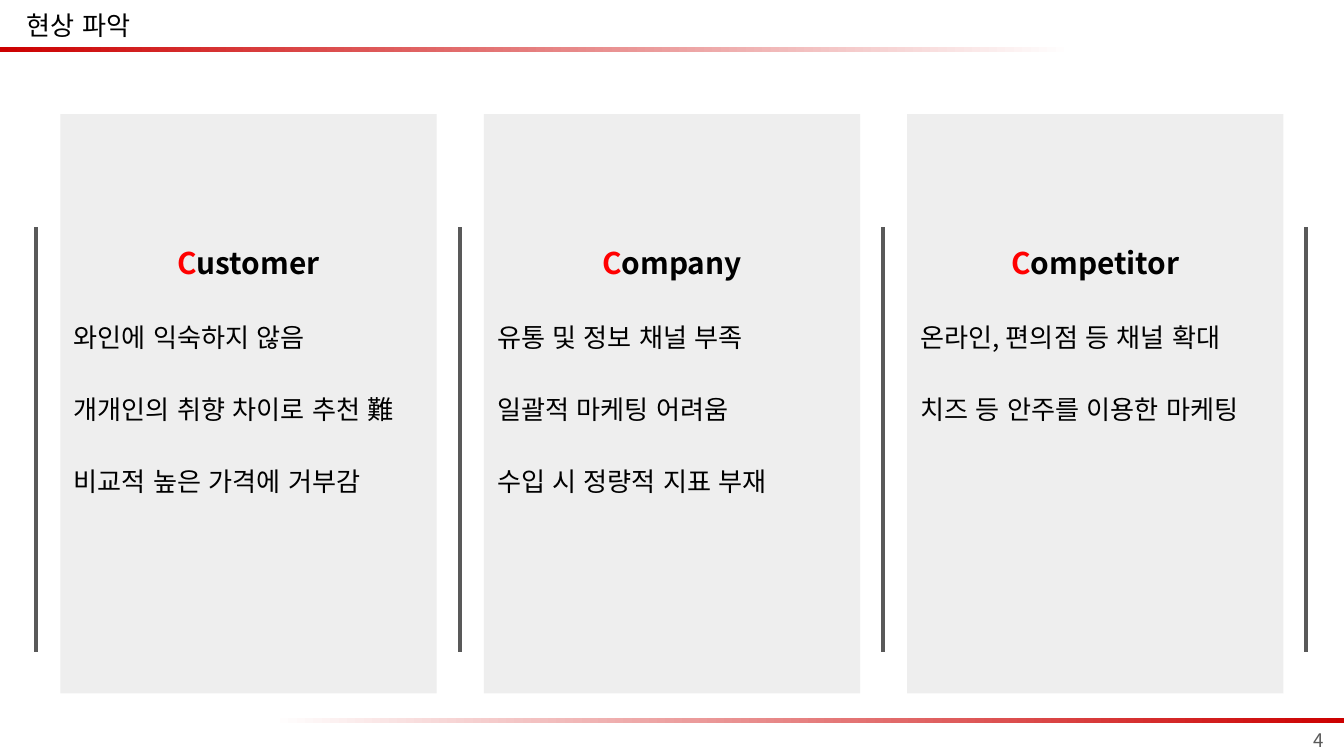
from lxml import etree
from pptx import Presentation
from pptx.dml.color import RGBColor
from pptx.enum.lang import MSO_LANGUAGE_ID
from pptx.enum.shapes import MSO_CONNECTOR, MSO_SHAPE
from pptx.enum.text import MSO_ANCHOR, PP_ALIGN
from pptx.oxml.ns import qn
from pptx.util import Inches, Pt

RECT = MSO_SHAPE.RECTANGLE
LINE = MSO_CONNECTOR.STRAIGHT
KOREAN = MSO_LANGUAGE_ID.KOREAN
TOP, MIDDLE = MSO_ANCHOR.TOP, MSO_ANCHOR.MIDDLE
LEFT, CENTER, RIGHT = PP_ALIGN.LEFT, PP_ALIGN.CENTER, PP_ALIGN.RIGHT

FONT = "Noto Sans CJK KR"
COLORS = {
    "text": "000000",
    "initial": "FF0000",
    "bar": "CC0000",
    "fade": "FFFFFF",
    "card": "EEEEEE",
    "gray": "595959",
}
CARDS = [
    ("Customer", ["와인에 익숙하지 않음", "개개인의 취향 차이로 추천 難", "비교적 높은 가격에 거부감"]),
    ("Company", ["유통 및 정보 채널 부족", "일괄적 마케팅 어려움", "수입 시 정량적 지표 부재"]),
    ("Competitor", ["온라인, 편의점 등 채널 확대", "치즈 등 안주를 이용한 마케팅"]),
]


class Painter:
    def __init__(self, slide):
        self.slide = slide

    def color(self, name):
        return RGBColor.from_string(COLORS[name])

    def style(self, run, size, color="text", bold=False):
        font = run.font
        font.size, font.bold, font.name = Pt(size), bold, FONT
        font.language_id = KOREAN
        font.color.rgb = self.color(color)
        etree.SubElement(run._r.get_or_add_rPr(), qn("a:ea"), typeface=FONT)

    def frame(self, shape, anchor, top=0.1):
        frame = shape.text_frame
        frame.word_wrap = True
        frame.vertical_anchor = anchor
        frame.margin_left = frame.margin_right = frame.margin_bottom = Inches(0.1)
        frame.margin_top = Inches(top)
        return frame

    def rect(self, x, y, w, h):
        shape = self.slide.shapes.add_shape(RECT, Inches(x), Inches(y), Inches(w), Inches(h))
        shape.shadow.inherit = False
        shape.line.fill.background()
        return shape

    def label(self, text, x, y, w, h, size, color="text", align=LEFT, anchor=TOP):
        box = self.slide.shapes.add_textbox(Inches(x), Inches(y), Inches(w), Inches(h))
        frame = self.frame(box, anchor)
        frame.text = text
        para = frame.paragraphs[0]
        para.alignment = align
        self.style(para.runs[0], size, color)

    def bar(self, x, y, start, end):
        fill = self.rect(x, y, 7.98, 0.04).fill
        fill.gradient()
        fill.gradient_angle = 0
        for stop, name in zip(fill.gradient_stops, (start, end)):
            stop.color.rgb = self.color(name)

    def rule(self, x, top, bottom):
        line = self.slide.shapes.add_connector(
            LINE, Inches(x), Inches(top), Inches(x), Inches(bottom))
        line.line.color.rgb = self.color("gray")
        line.line.width = Pt(2.25)
        etree.SubElement(line._element.spPr, qn("a:effectLst"))

    def card(self, x, title, points):
        shape = self.rect(x, 0.85, 2.8, 4.31)
        shape.fill.solid()
        shape.fill.fore_color.rgb = self.color("card")
        frame = self.frame(shape, TOP, 0.97)

        # Heading with a red initial
        head = frame.paragraphs[0]
        head.alignment = CENTER
        head.line_spacing = Pt(19.3)
        for text, color in ((title[0], "initial"), (title[1:], "text")):
            run = head.add_run()
            run.text = text
            self.style(run, 16, color, True)

        # Points, one line apart
        for point in points:
            para = frame.add_paragraph()
            para.text = point
            para.alignment = LEFT
            para.line_spacing = para.space_before = Pt(19.3)
            self.style(para.runs[0], 14)


def main():
    deck = Presentation()
    deck.slide_width, deck.slide_height = Inches(10), Inches(10 * 9 / 16)
    paint = Painter(deck.slides.add_slide(deck.slide_layouts[6]))

    # Title, bars and page number
    paint.label("현상 파악", 0.1, -0.03, 4.67, 0.54, 14)
    paint.bar(0, 0.35, "bar", "fade")
    paint.bar(2.02, 5.34, "fade", "bar")
    paint.label("4", 9.35, 5.29, 0.6, 0.43, 10, "gray", RIGHT, MIDDLE)

    # Rules around the cards
    pitch = 3.15
    for i in range(len(CARDS) + 1):
        paint.rule(0.27 + i * pitch, 1.69, 4.85)

    # Cards
    for i, (title, points) in enumerate(CARDS):
        paint.card(0.45 + i * pitch, title, points)

    deck.save("out.pptx")


if __name__ == "__main__":
    main()
